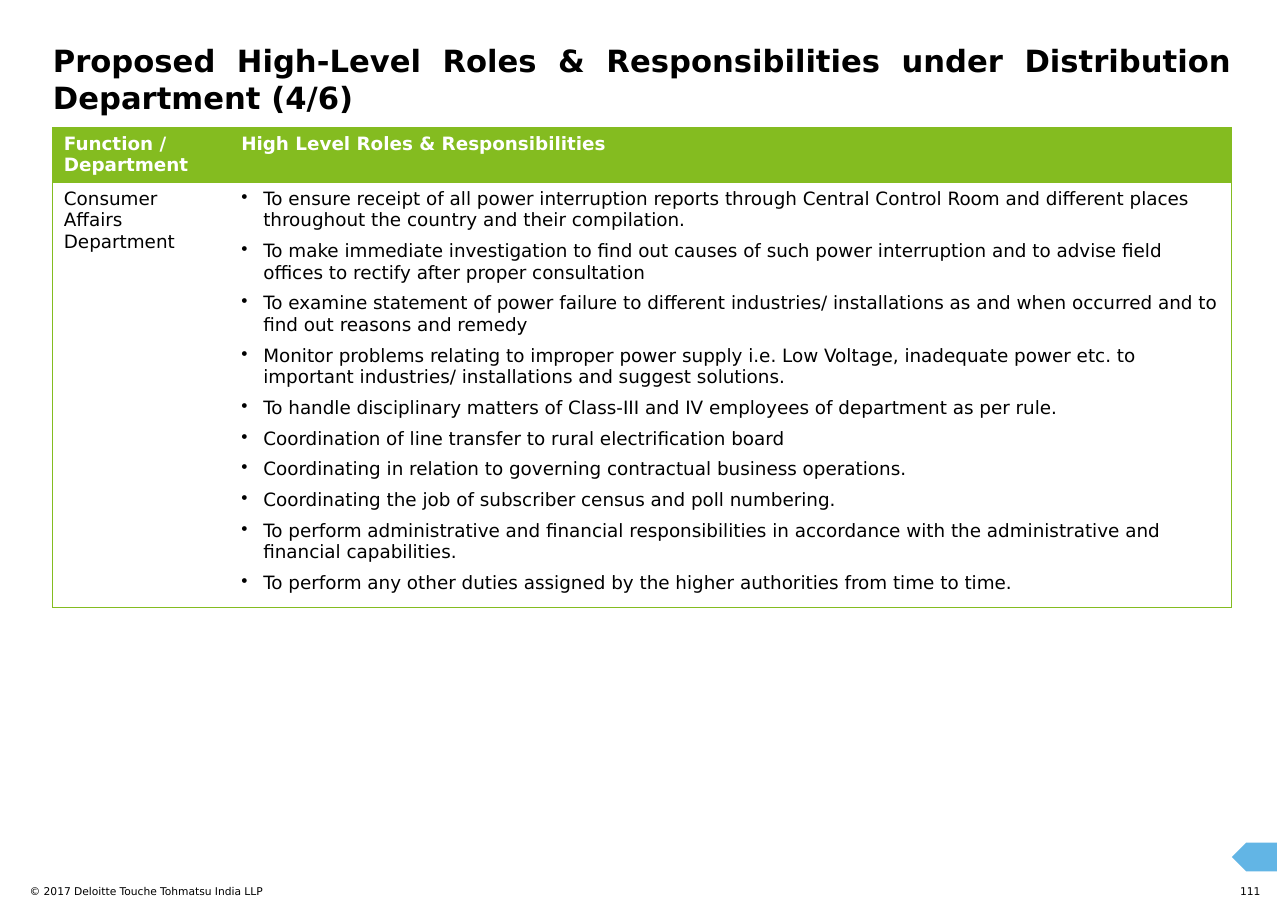
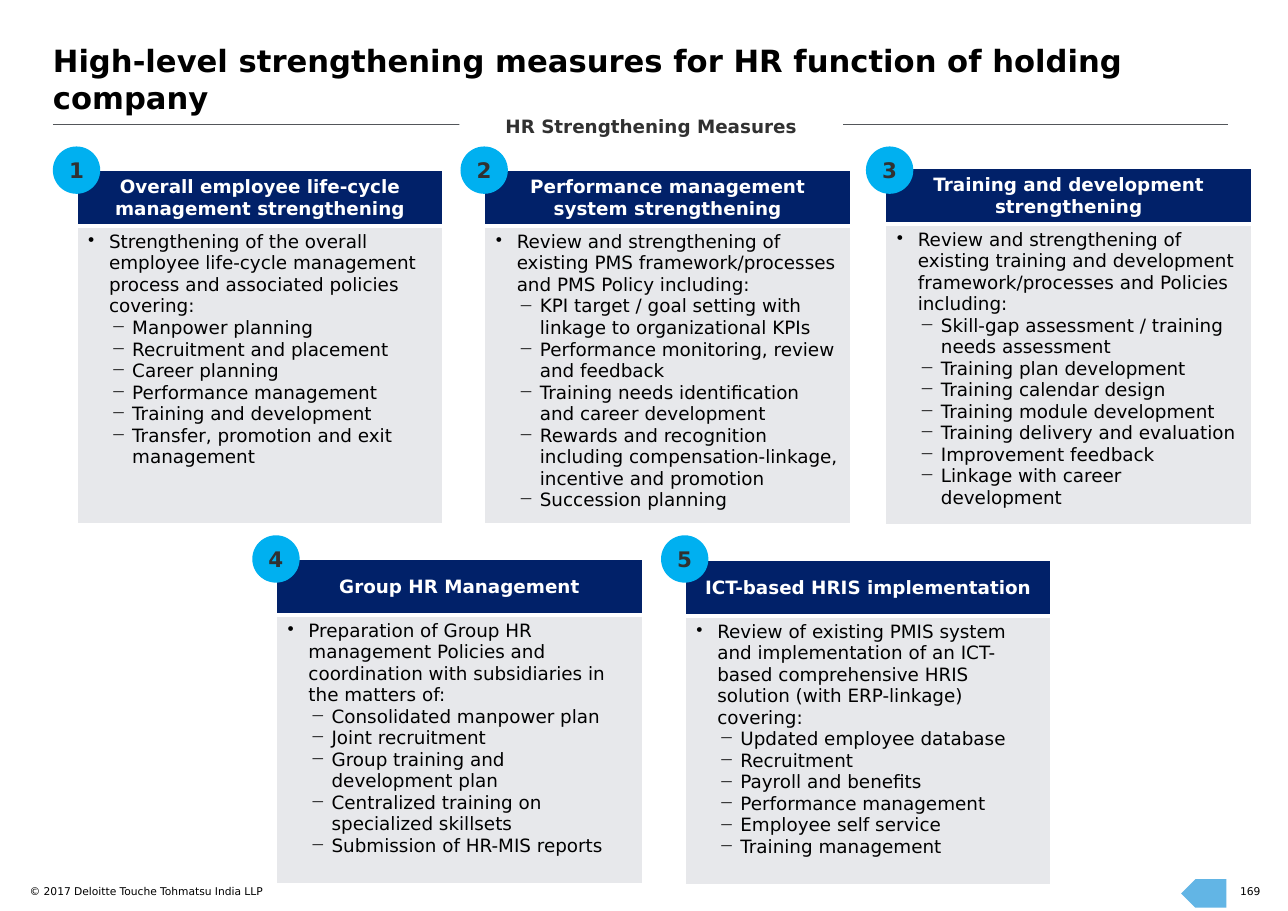
from dataclasses import dataclass

from lxml.etree import SubElement
from pptx import Presentation
from pptx.dml.color import RGBColor
from pptx.enum.shapes import MSO_CONNECTOR, MSO_SHAPE
from pptx.enum.text import MSO_ANCHOR, PP_ALIGN
from pptx.oxml.ns import qn
from pptx.util import Inches, Pt


@dataclass(frozen=True)
class Theme:
    font: str = "DejaVu Sans"
    black: str = "000000"
    white: str = "FFFFFF"
    charcoal: str = "313131"
    rule: str = "53565A"
    green: str = "84BC20"
    navy: str = "012169"
    panel: str = "E7E8EB"
    badge: str = "00B0F0"
    arrow: str = "62B5E5"
    title_size: int = 20
    badge_size: int = 14
    body_size: int = 12
    footer_size: int = 7


@dataclass(frozen=True)
class Bullet:
    char: str
    left: float
    hanging: float
    level: int = 0


@dataclass(frozen=True)
class Card:
    left: float
    top: float
    height: float
    badge_left: float
    badge_top: float
    heading: str
    lead: str
    points: tuple


THEME = Theme()
ROLE = Bullet("•", 0.2, 0.2)
LEAD = Bullet("•", 0.19, 0.19)
POINT = Bullet("−", 0.4, 0.19, 1)

ROLES = [
    "To ensure receipt of all power interruption reports through Central Control Room and different places throughout the country and their compilation.",
    "To make immediate investigation to find out causes of such power interruption and to advise field offices to rectify after proper consultation",
    "To examine statement of power failure to different industries/ installations as and when occurred and to find out reasons and remedy",
    "Monitor problems relating to improper power supply i.e. Low Voltage, inadequate power etc. to important industries/ installations and suggest solutions.",
    "To handle disciplinary matters of Class-III and IV employees of department as per rule.",
    "Coordination of line transfer to rural electrification board",
    "Coordinating in relation to governing contractual business operations.",
    "Coordinating the job of subscriber census and poll numbering.",
    "To perform administrative and financial responsibilities in accordance with the administrative and financial capabilities.",
    "To perform any other duties assigned by the higher authorities from time to time.",
]

CARDS = [
    Card(0.7, 1.55, 3.2, 0.48, 1.33,
         "Overall employee life-cycle management strengthening",
         "Strengthening of the overall employee life-cycle management process and associated policies covering:",
         ("Manpower planning", "Recruitment and placement", "Career planning",
          "Performance management", "Training and development",
          "Transfer, promotion and exit management")),
    Card(4.4, 1.55, 3.2, 4.18, 1.33,
         "Performance management system strengthening",
         "Review and strengthening of existing PMS framework/processes and PMS Policy including:",
         ("KPI target / goal setting with linkage to organizational KPIs",
          "Performance monitoring, review and feedback",
          "Training needs identification and career development",
          "Rewards and recognition including compensation-linkage, incentive and promotion",
          "Succession planning")),
    Card(8.04, 1.53, 3.23, 7.86, 1.33,
         "Training and development strengthening",
         "Review and strengthening of existing training and development framework/processes and Policies including:",
         ("Skill-gap assessment / training needs assessment",
          "Training plan development", "Training calendar design",
          "Training module development", "Training delivery and evaluation",
          "Improvement feedback", "Linkage with career development")),
    Card(2.51, 5.08, 2.94, 2.29, 4.86,
         "Group HR Management",
         "Preparation of Group HR management Policies and coordination with subsidiaries in the matters of:",
         ("Consolidated manpower plan", "Joint recruitment",
          "Group training and development plan",
          "Centralized training on specialized skillsets",
          "Submission of HR-MIS reports")),
    Card(6.22, 5.09, 2.94, 6, 4.86,
         "ICT-based HRIS implementation",
         "Review of existing PMIS system and implementation of an ICT-based comprehensive HRIS solution (with ERP-linkage) covering:",
         ("Updated employee database", "Recruitment", "Payroll and benefits",
          "Performance management", "Employee self service",
          "Training management")),
]


def assign(target, values):
    for attribute, value in values.items():
        setattr(target, attribute, value)


class Deck:
    def __init__(self, theme):
        self.theme = theme
        self.presentation = Presentation()
        assign(self.presentation, {"slide_width": Inches(11.69), "slide_height": Inches(8.27)})
        self.slide = None

    def box(self, left, top, width, height):
        return [Inches(length) for length in (left, top, width, height)]

    def new_slide(self, heading, number, align=PP_ALIGN.LEFT):
        self.slide = self.presentation.slides.add_slide(self.presentation.slide_layouts[5])
        title = self.slide.shapes.title
        assign(title, dict(zip(("left", "top", "width", "height"), self.box(0.48, 0.38, 10.7, 0.8))))
        self.frame(title.text_frame, MSO_ANCHOR.TOP)
        self.set_text(title.text_frame, [(heading, None)], self.theme.title_size, bold=True, align=align)
        self.footer("© 2017 Deloitte Touche Tohmatsu India LLP", 0.27, 5.13, PP_ALIGN.LEFT)
        self.footer(number, 11.14, 0.3, PP_ALIGN.RIGHT)

    def frame(self, frame, anchor):
        assign(frame, {"word_wrap": True, "vertical_anchor": anchor, "margin_left": 0,
                       "margin_top": 0, "margin_right": 0, "margin_bottom": 0})

    def set_text(self, frame, lines, size, color=None, bold=False, align=PP_ALIGN.LEFT, gap=0):
        for index, (text, bullet) in enumerate(lines):
            paragraph = frame.add_paragraph() if index else frame.paragraphs[0]
            if bullet:
                self.bullet(paragraph, bullet)
            assign(paragraph, {"alignment": align, "space_before": Pt(gap if index else 0)})
            run = paragraph.add_run()
            run.text = text
            assign(run.font, {"name": self.theme.font, "size": Pt(size), "bold": bold})
            run.font.color.rgb = RGBColor.from_string(color or self.theme.black)

    def bullet(self, paragraph, bullet):
        paragraph.level = bullet.level
        properties = paragraph._p.get_or_add_pPr()
        properties.set("marL", str(Inches(bullet.left)))
        properties.set("indent", str(-Inches(bullet.hanging)))
        SubElement(properties, qn("a:buChar")).set("char", bullet.char)

    def footer(self, text, left, width, align):
        footer = self.slide.shapes.add_textbox(*self.box(left, 8.03, width, 0.12))
        self.frame(footer.text_frame, MSO_ANCHOR.TOP)
        self.set_text(footer.text_frame, [(text, None)], self.theme.footer_size, align=align)

    def shape(self, preset, place, fill, text="", size=0):
        shape = self.slide.shapes.add_shape(preset, *self.box(*place))
        shape.shadow.inherit = False
        shape.fill.solid()
        shape.fill.fore_color.rgb = RGBColor.from_string(fill)
        shape.line.fill.background()
        if text:
            self.frame(shape.text_frame, MSO_ANCHOR.MIDDLE)
            self.set_text(shape.text_frame, [(text, None)], size, self.theme.charcoal, True, PP_ALIGN.CENTER)
        return shape

    def back_arrow(self, left, top):
        self.shape(MSO_SHAPE.PENTAGON, (left, top, 0.41, 0.26), self.theme.arrow).rotation = 180

    def rule(self, left, right, top):
        rule = self.slide.shapes.add_connector(
            MSO_CONNECTOR.STRAIGHT, Inches(left), Inches(top), Inches(right), Inches(top))
        rule.line.color.rgb = RGBColor.from_string(self.theme.rule)
        rule.line.width = Pt(0.75)
        SubElement(rule._element.spPr, qn("a:effectLst"))

    def table(self, left, top, widths, heights):
        table = self.slide.shapes.add_table(
            len(heights), len(widths), *self.box(left, top, sum(widths), sum(heights))).table
        assign(table, {"first_row": False, "horz_banding": False})
        for column, width in zip(table.columns, widths):
            column.width = Inches(width)
        for row, height in zip(table.rows, heights):
            row.height = Inches(height)
        return table

    def cell(self, cell, lines, borders, fill=None, anchor=MSO_ANCHOR.TOP, **text_style):
        assign(cell, {"vertical_anchor": anchor, "margin_left": Inches(0.1), "margin_right": Inches(0.1),
                      "margin_top": Inches(0.05), "margin_bottom": Inches(0.05)})
        properties = cell._tc.get_or_add_tcPr()
        for side in "LRTB":
            color, width = borders.get(side, (None, 0))
            edge = SubElement(properties, qn(f"a:ln{side}"))
            edge.set("w", str(Pt(width)))
            if color:
                solid = SubElement(edge, qn("a:solidFill"))
                SubElement(solid, qn("a:srgbClr")).set("val", color)
            else:
                SubElement(edge, qn("a:noFill"))
        if fill:
            cell.fill.solid()
            cell.fill.fore_color.rgb = RGBColor.from_string(fill)
        else:
            cell.fill.background()
        self.set_text(cell.text_frame, lines, self.theme.body_size, **text_style)

    def roles_table(self, headings, department, roles):
        roles_grid = self.table(0.48, 1.16, (1.61, 9.09), (0.5, 3.77))
        bodies = [[(department, None)], [(role, ROLE) for role in roles]]
        for column, outer_side in enumerate("LR"):
            borders = {side: (self.theme.green, 0.75) for side in "TB" + outer_side}
            self.cell(roles_grid.cell(0, column), [(headings[column], None)], borders,
                      self.theme.green, color=self.theme.white, bold=True)
            self.cell(roles_grid.cell(1, column), bodies[column], borders, gap=6)

    def measure_card(self, number, card):
        panel = self.table(card.left, card.top, (3.32,), (0.5, card.height - 0.5))
        thin = {side: (self.theme.white, 1) for side in "LRTB"}
        thick = (self.theme.white, 3)
        self.cell(panel.cell(0, 0), [(card.heading, None)], {**thin, "B": thick}, self.theme.navy,
                  MSO_ANCHOR.MIDDLE, color=self.theme.white, bold=True, align=PP_ALIGN.CENTER)
        lines = [(card.lead, LEAD)] + [(point, POINT) for point in card.points]
        self.cell(panel.cell(1, 0), lines, {**thin, "T": thick}, self.theme.panel)
        self.shape(MSO_SHAPE.OVAL, (card.badge_left, card.badge_top, 0.43, 0.43),
                   self.theme.badge, str(number), self.theme.badge_size)


def main():
    deck = Deck(THEME)

    deck.new_slide("Proposed High-Level Roles & Responsibilities under Distribution Department (4/6)",
                   "111", PP_ALIGN.JUSTIFY)
    deck.roles_table(("Function / Department", "High Level Roles & Responsibilities"),
                     "Consumer Affairs Department", ROLES)
    deck.back_arrow(11.18, 7.65)

    deck.new_slide("High-level strengthening measures for HR function of holding company", "169")
    for number, card in enumerate(CARDS, 1):
        deck.measure_card(number, card)
    deck.rule(0.48, 11.15, 1.13)
    deck.shape(MSO_SHAPE.RECTANGLE, (4.17, 1.05, 3.48, 0.2), THEME.white,
               "HR Strengthening Measures", THEME.body_size)
    deck.back_arrow(10.72, 7.98)

    deck.presentation.save("out.pptx")


if __name__ == "__main__":
    main()
